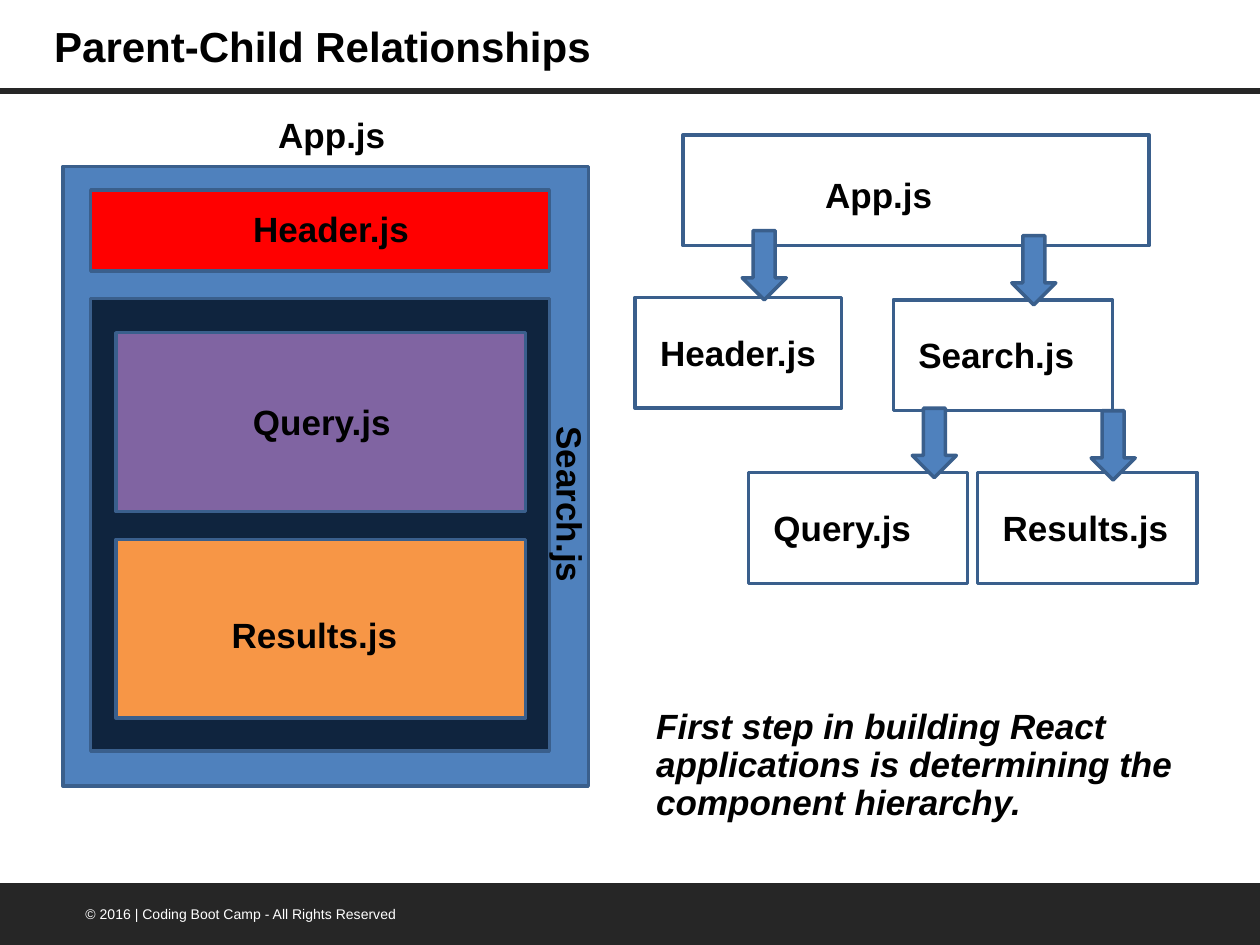
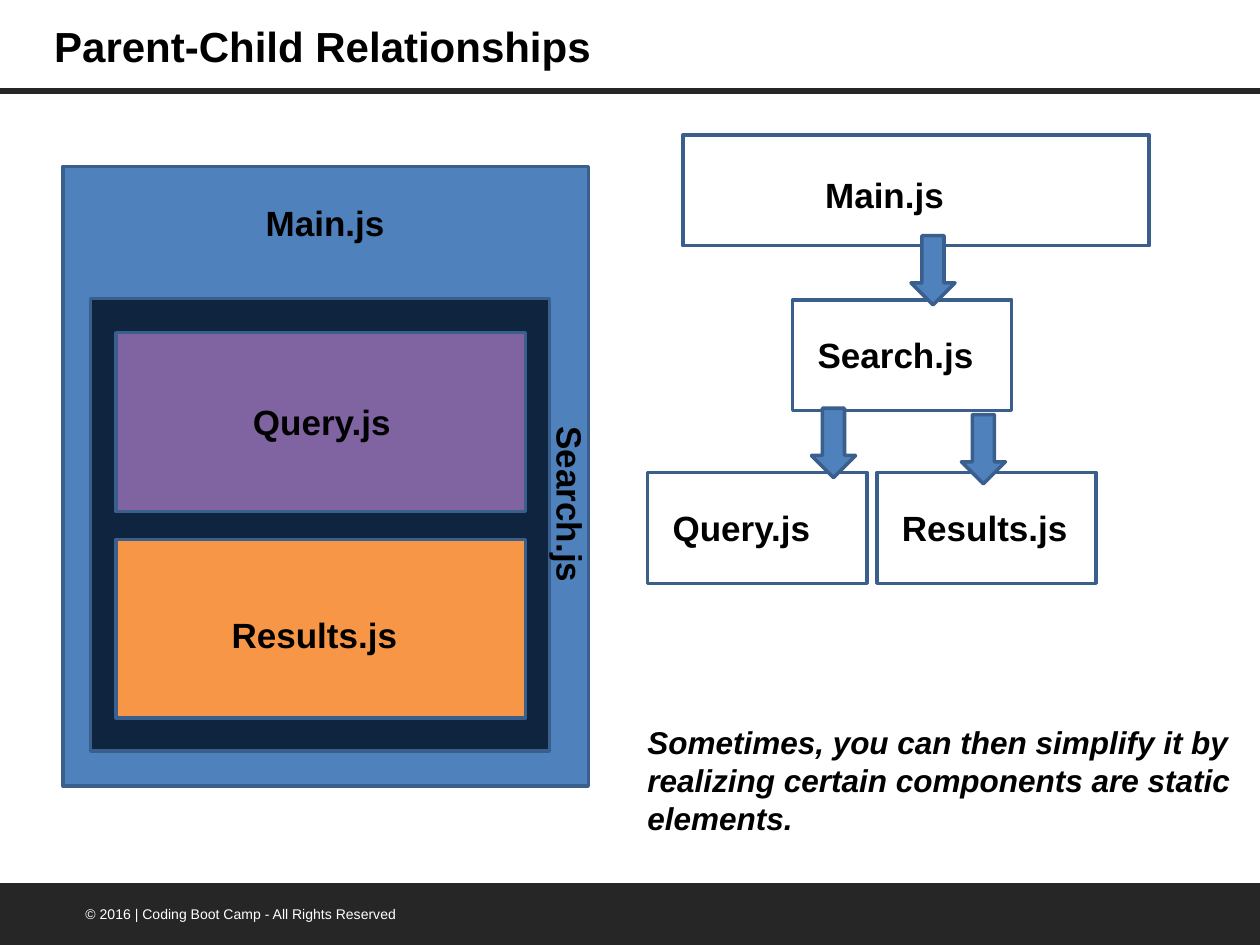
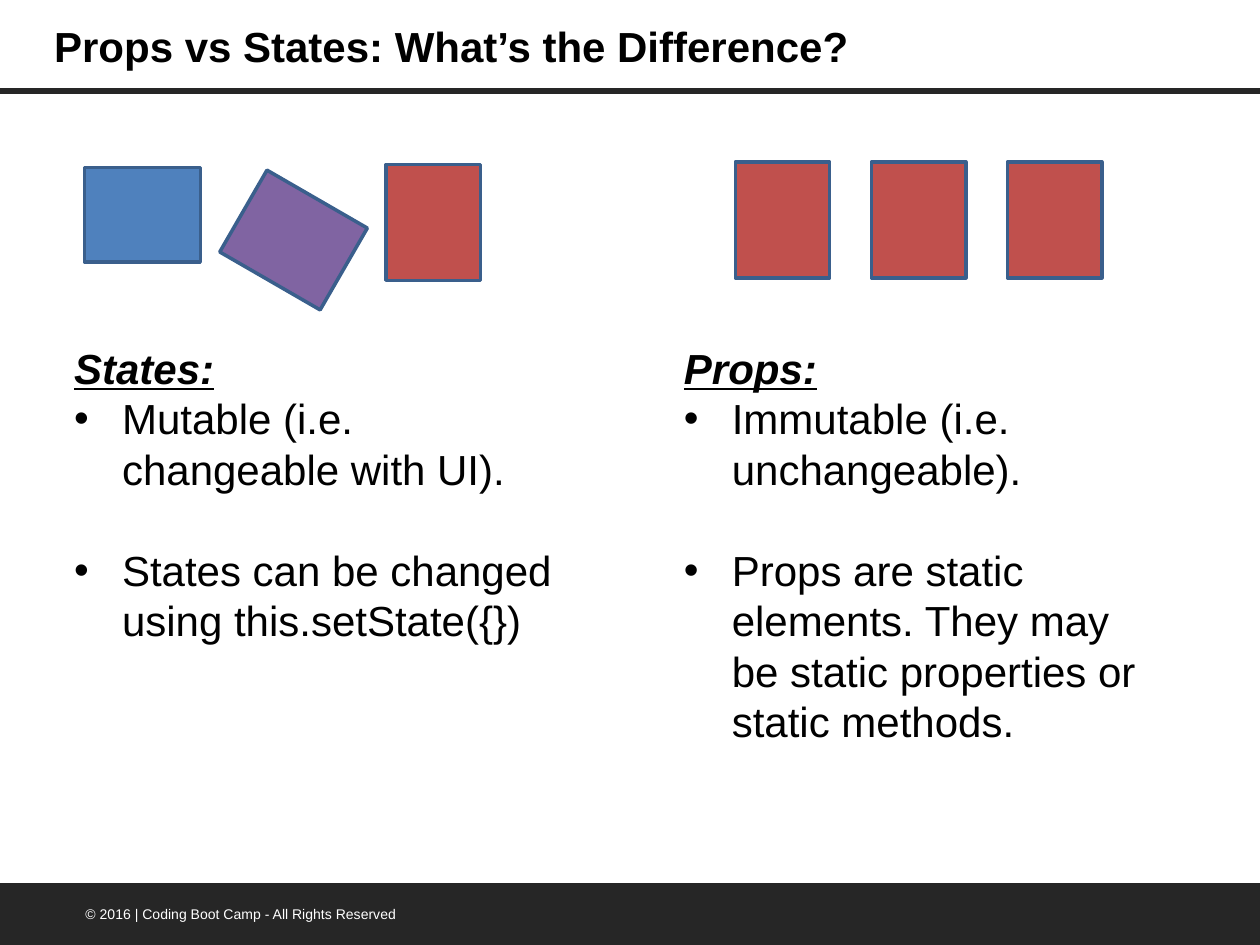
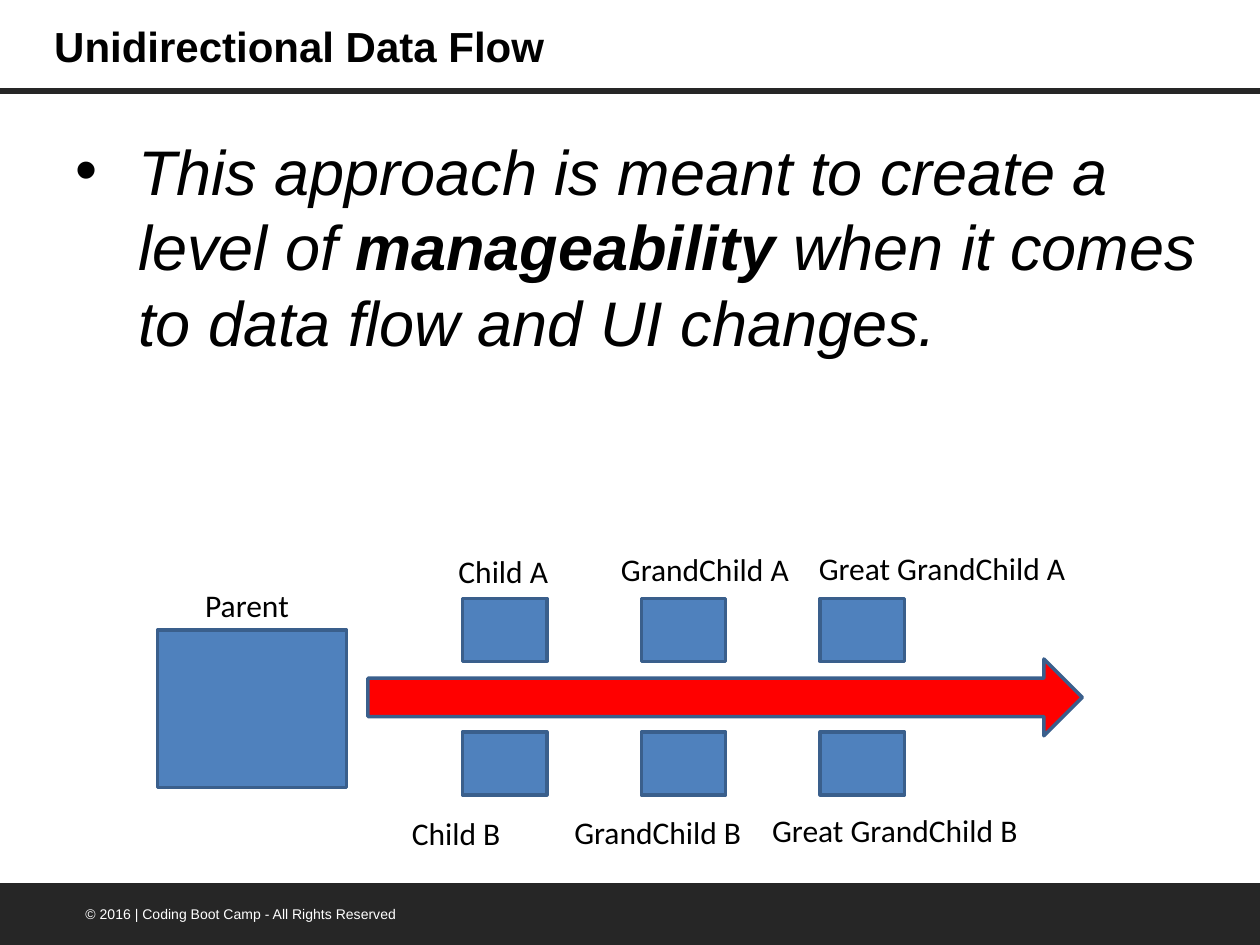
from lxml.etree import SubElement
from pptx import Presentation
from pptx.dml.color import RGBColor
from pptx.enum.shapes import MSO_CONNECTOR, MSO_SHAPE
from pptx.enum.text import MSO_ANCHOR, MSO_AUTO_SIZE, PP_ALIGN
from pptx.oxml.ns import qn
from pptx.util import Inches, Pt

BLACK = RGBColor(0x00, 0x00, 0x00)
WHITE = RGBColor(0xFF, 0xFF, 0xFF)
CHARCOAL = RGBColor(0x26, 0x26, 0x26)
BLUE = RGBColor(0x4F, 0x81, 0xBD)
OUTLINE = RGBColor(0x3A, 0x5F, 0x8C)
NAVY = RGBColor(0x0F, 0x24, 0x3E)
PURPLE = RGBColor(0x80, 0x64, 0xA2)
ORANGE = RGBColor(0xF7, 0x96, 0x46)
BRICK = RGBColor(0xC0, 0x50, 0x4D)
RED = RGBColor(0xFF, 0x00, 0x00)

TITLE_ONLY = 5
TITLE = {"name": "Arial", "size": Pt(24), "bold": True}
FOOTER = {"name": "Arial", "size": Pt(8)}
COMPONENT = {"name": "Arial", "size": Pt(20), "bold": True}
STEP = {**COMPONENT, "italic": True}
REMARK = {**STEP, "size": Pt(18)}
HEADING = {**TITLE, "italic": True, "underline": True}
BODY = {"name": "Arial", "size": Pt(24)}
STATEMENT = {"name": "Arial", "size": Pt(36), "italic": True}
FAMILY = {"name": "Calibri", "size": Pt(18)}

LABEL_HEIGHT = 0.44
NODE_HEIGHT = 0.88
NODE_WIDTH = 1.74


def add_run(paragraph, text, formats, color=BLACK):
    run = paragraph.add_run()
    run.text = text
    for name, value in formats.items():
        setattr(run.font, name, value)
    run.font.color.rgb = color


def add_text_box(shapes, left, top, width, height, wrap=True):
    text_box = shapes.add_textbox(Inches(left), Inches(top), Inches(width), Inches(height))
    text_box.text_frame.word_wrap = wrap
    text_box.text_frame.auto_size = MSO_AUTO_SIZE.SHAPE_TO_FIT_TEXT
    return text_box


def add_label(shapes, text, left, top, width, height=LABEL_HEIGHT,
              formats=COMPONENT, color=BLACK, wrap=False):
    label = add_text_box(shapes, left, top, width, height, wrap)
    add_run(label.text_frame.paragraphs[0], text, formats, color)
    return label


def add_block(shapes, left, top, width, height, fill=None,
              kind=MSO_SHAPE.RECTANGLE, outline=OUTLINE):
    block = shapes.add_shape(kind, Inches(left), Inches(top), Inches(width), Inches(height))
    block.shadow.inherit = False
    if fill is None:
        block.fill.background()
    else:
        block.fill.solid()
        block.fill.fore_color.rgb = fill
    if outline is None:
        block.line.fill.background()
    else:
        block.line.color.rgb = outline
        block.line.width = Pt(2)
    return block


def set_indent(paragraph, margin, first_line=0, bullet=None):
    properties = paragraph._p.get_or_add_pPr()
    properties.set("marL", str(Inches(margin)))
    properties.set("indent", str(Inches(first_line)))
    if bullet:
        SubElement(properties, qn("a:buFont")).set("typeface", "Arial")
        SubElement(properties, qn("a:buChar")).set("char", bullet)


def dress_layout(slide):
    rule = slide.shapes.add_connector(
        MSO_CONNECTOR.STRAIGHT, Inches(0), Inches(0.72), Inches(10), Inches(0.72))
    rule.line.color.rgb = CHARCOAL
    rule.line.width = Pt(3.25)
    SubElement(rule.element.spPr, qn("a:effectLst"))
    band = add_block(slide.shapes, -0.01, 7.01, 10.01, 0.5, CHARCOAL,
                     MSO_SHAPE.FLOWCHART_PROCESS, None)
    footer = add_label(slide.shapes, "© 2016 | Coding Boot Camp - All Rights Reserved",
                       0.58, 7.14, 3.05, 0.24, FOOTER, WHITE, True)
    for shape in (rule, band, footer):
        slide.slide_layout.shapes.element.append(shape.element)


def add_slide(presentation, title, title_width=5.98):
    slide = presentation.slides.add_slide(presentation.slide_layouts[TITLE_ONLY])
    placeholder = slide.shapes.title
    box = {"left": 0.33, "top": 0, "width": title_width, "height": 0.72}
    for name, value in box.items():
        setattr(placeholder, name, Inches(value))
    frame = placeholder.text_frame
    frame.vertical_anchor = MSO_ANCHOR.MIDDLE
    frame.auto_size = MSO_AUTO_SIZE.NONE
    frame.paragraphs[0].alignment = PP_ALIGN.LEFT
    add_run(frame.paragraphs[0], title, TITLE)
    return slide


def add_component_panel(slide, left, top):
    shapes = slide.shapes
    add_block(shapes, left, top, 4.17, 4.92, BLUE)
    add_block(shapes, left + 0.22, top + 1.05, 3.64, 3.59, NAVY)
    for row, fill in enumerate((PURPLE, ORANGE)):
        add_block(shapes, left + 0.42, top + 1.32 + row * 1.64, 3.25, 1.42, fill)
    add_label(shapes, "Search.js", left + 3.3, top + 2.47, 1.45).rotation = 90
    add_label(shapes, "Query.js", left + 1.41, top + 1.81, 1.3)
    add_label(shapes, "Results.js", left + 1.24, top + 3.5, 1.53)


def add_node(slide, text, left, top, width, label_width, label_left=0.1, label_top=0.22):
    group = slide.shapes.add_group_shape()
    add_block(group.shapes, left, top, width, NODE_HEIGHT)
    add_label(group.shapes, text, left + label_left, top + label_top, label_width)


def add_root_node(slide, text, label_width):
    add_node(slide, text, 5.42, 1.07, 3.7, label_width, 1.03, 0.26)


def add_down_arrow(slide, left, top):
    add_block(slide.shapes, left, top, 0.35, 0.55, BLUE, MSO_SHAPE.DOWN_ARROW)


def add_search_branch(slide, left, top, results_arrow):
    add_node(slide, "Search.js", left, top, NODE_WIDTH, 1.78)
    add_node(slide, "Query.js", left - 1.15, top + 1.37, NODE_WIDTH, 1.3)
    add_node(slide, "Results.js", left + 0.67, top + 1.37, NODE_WIDTH, 1.53)
    for arrow_left, arrow_top in ((0.94, -0.51), (0.15, 0.86), results_arrow):
        add_down_arrow(slide, left + arrow_left, top + arrow_top)


def build_full_hierarchy(presentation):
    slide = add_slide(presentation, "Parent-Child Relationships")
    add_component_panel(slide, 0.5, 1.32)
    add_block(slide.shapes, 0.72, 1.51, 3.64, 0.64, RED)
    add_label(slide.shapes, "Header.js", 1.91, 1.6, 1.45)
    add_label(slide.shapes, "App.js", 2.11, 0.85, 1.06)
    add_root_node(slide, "App.js", 1.88)
    add_node(slide, "Header.js", 5.04, 2.36, 1.64, 1.69)
    add_search_branch(slide, 7.09, 2.38, (1.57, 0.88))
    add_down_arrow(slide, 5.89, 1.83)
    step = add_label(
        slide.shapes,
        "First step in building React applications is determining the component hierarchy.",
        4.86, 5.58, 4.97, 1.34, STEP, wrap=True)
    step.text_frame.auto_size = MSO_AUTO_SIZE.NONE
    paragraph = step.text_frame.paragraphs[0]
    paragraph.line_spacing = 0.9
    set_indent(paragraph, 0.25)
    return slide


def build_simple_hierarchy(presentation):
    slide = add_slide(presentation, "Parent-Child Relationships")
    add_component_panel(slide, 0.5, 1.32)
    add_label(slide.shapes, "Main.js", 2.01, 1.55, 1.15)
    add_root_node(slide, "Main.js", 1.15)
    add_search_branch(slide, 6.29, 2.38, (1.34, 0.91))
    add_label(
        slide.shapes,
        "Sometimes, you can then simplify it by realizing certain components "
        "are static elements.",
        5.04, 5.69, 5, 1.01, REMARK, wrap=True)


def add_definition(slide, left, top, height, heading, points):
    frame = add_text_box(slide.shapes, left, top, 4.01, height).text_frame
    add_run(frame.paragraphs[0], heading, HEADING)
    for index, point in enumerate(points):
        paragraph = frame.add_paragraph()
        if index < len(points) - 1:
            paragraph.space_after = Pt(29)
        set_indent(paragraph, 0.38, -0.38, "•")
        add_run(paragraph, point, BODY)


def add_tile(slide, left, top, fill, rotation):
    add_block(slide.shapes, left, top, 0.92, 0.75, fill).rotation = rotation


def build_props_and_states(presentation):
    slide = add_slide(presentation, "Props vs States: What’s the Difference?", 6.75)
    add_definition(slide, 0.49, 2.67, 2.93, "States:", (
        "Mutable (i.e. changeable with UI).",
        "States can be changed using this.setState({})"))
    add_definition(slide, 5.33, 2.67, 3.33, "Props:", (
        "Immutable (i.e. unchangeable).",
        "Props are static elements. They may be static properties or static methods."))
    add_tile(slide, 0.67, 1.33, BLUE, 0)
    add_tile(slide, 1.87, 1.53, PURPLE, 30)
    add_tile(slide, 2.98, 1.39, BRICK, 90)
    for column in range(3):
        add_tile(slide, 5.75 + column * 1.08, 1.37, BRICK, 90)


def add_family_flow(slide, left, top):
    shapes = slide.shapes
    add_block(shapes, left + 1.67, top + 0.92, 5.67, 0.61, RED, MSO_SHAPE.RIGHT_ARROW)
    add_block(shapes, left, top + 0.69, 1.5, 1.25, BLUE)
    add_label(shapes, "Parent", left + 0.28, top + 0.29, 0.87, 0.4, FAMILY)
    generations = (("Child", 2.29, 0.92), ("GrandChild", 3.58, 1.56),
                   ("Great GrandChild", 5.15, 2.2))
    branches = (("A", 0.44, 0, 0.02), ("B", 1.5, -0.37, 2.1))
    for branch, block_top, label_shift, label_top in branches:
        for column, (generation, label_left, label_width) in enumerate(generations):
            add_block(shapes, left + 2.42 + column * 1.42, top + block_top, 0.67, 0.5, BLUE)
            add_label(shapes, f"{generation} {branch}", left + label_left + label_shift,
                      top + label_top - column * 0.01, label_width, 0.4, FAMILY)


def build_data_flow(presentation):
    slide = add_slide(presentation, "Unidirectional Data Flow")
    frame = add_text_box(slide.shapes, 0.5, 1, 9.17, 3.13).text_frame
    paragraph = frame.paragraphs[0]
    set_indent(paragraph, 0.5, -0.5, "•")
    add_run(paragraph, "This approach is meant to create a level of ", STATEMENT)
    add_run(paragraph, "manageability", {**STATEMENT, "bold": True})
    add_run(paragraph, " when it comes to data flow and UI changes.", STATEMENT)
    add_family_flow(slide, 1.25, 4.31)


def main():
    presentation = Presentation()
    presentation.slide_width = Inches(10)
    presentation.slide_height = Inches(7.5)
    first_slide = build_full_hierarchy(presentation)
    dress_layout(first_slide)
    build_simple_hierarchy(presentation)
    build_props_and_states(presentation)
    build_data_flow(presentation)
    presentation.save("out.pptx")


if __name__ == "__main__":
    main()
